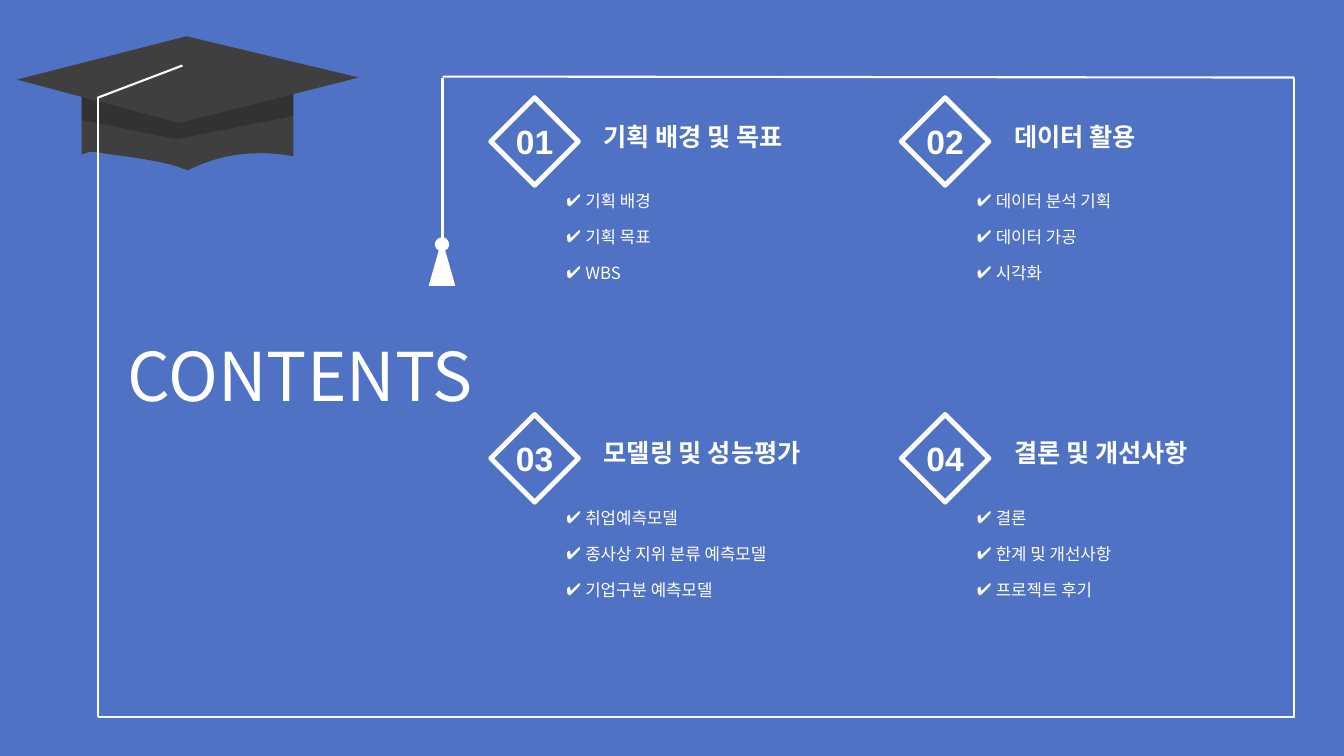
from lxml import etree
from pptx import Presentation
from pptx.dml import color
from pptx.enum import shapes, text
from pptx.oxml import ns
from pptx.util import Pt

COLORS = {"background": "5072C4", "white": "FFFFFF", "cap": "3F3F3F", "band": "000000"}
SANS, NUMERAL = "Noto Sans CJK KR", "Arial"

SECTIONS = [
    ("기획 배경 및 목표", ["기획 배경", "기획 목표", "WBS"]),
    ("데이터 활용", ["데이터 분석 기획", "데이터 가공", "시각화"]),
    ("모델링 및 성능평가", ["취업예측모델", "종사상 지위 분류 예측모델", "기업구분 예측모델"]),
    ("결론 및 개선사항", ["결론", "한계 및 개선사항", "프로젝트 후기"]),
]
LEFT, TOP, COLUMN_STEP, ROW_STEP, DIAMOND = 350.6, 69.8, 293.2, 226.3, 62.6

CAP_BASE = [
    (209.5, 51.1), (58.3, 51.1), (58.3, 110.2),
    (63.4, 109.4, 61.2, 107.3, 73.4, 109.4),
    (86.4, 111.6, 118.8, 114.5, 133.9, 121.7),
    (149, 114.5, 164.2, 109.4, 185.8, 109.4),
    (193.7, 109.4, 202.3, 110.2, 209.5, 111.6),
]
CAP_BAND = [(209.5, 64.8), (58.3, 64.8), (58.3, 85.7), (126, 99.4), (209.5, 82.8)]
CAP_BOARD = [(133.2, 25.9), (256.3, 55.4), (128.2, 87.8), (12.2, 56.9)]
TASSEL = [
    (306.7, 203.8), (313.9, 178.6), (312.5, 177.8),
    (311.8, 177.1, 311, 175.7, 311, 175),
    (311, 172.1, 313.2, 169.9, 316.1, 169.9),
    (318.2, 169.9, 320.4, 172.1, 320.4, 175),
    (320.4, 175.7, 319.7, 177.1, 319, 177.8),
    (317.5, 178.6), (324.7, 203.8),
]
FRAME = [
    (130.3, 46.8, 69.8, 69.8),
    (69.8, 69.1, 69.8, 511.9),
    (924.5, 55.4, 316.1, 54.7),
    (924.5, 511.9, 69.8, 511.9),
    (924.5, 55.4, 924.5, 512.6),
    (316.1, 55.4, 316.1, 170.6),
]


def rgb(name):
    return color.RGBColor.from_string(COLORS[name])


def write_text(p, content, size=12, font=SANS, fill="white", bold=False, align=text.PP_ALIGN.LEFT):
    p.alignment = align
    p.line_spacing = 1.0
    r = p.add_run()
    r.text = content
    r.font.size, r.font.name, r.font.bold = Pt(size), font, bold
    r.font.color.rgb = rgb(fill)
    ea = etree.SubElement(r.font._element, ns.qn("a:ea"))
    ea.set("typeface", font)


def flatten(outline, steps=10):
    points = [outline[0]]
    for segment in outline[1:]:
        if len(segment) == 2:
            points.append(segment)
            continue
        x0, y0 = points[-1]
        x1, y1, x2, y2, x3, y3 = segment
        for i in range(1, steps + 1):
            t = i / steps
            a, b, c, d = (1 - t) ** 3, 3 * t * (1 - t) ** 2, 3 * t * t * (1 - t), t ** 3
            points.append((a * x0 + b * x1 + c * x2 + d * x3, a * y0 + b * y1 + c * y2 + d * y3))
    return [(Pt(x), Pt(y)) for x, y in points]


class ContentsSlide:
    def __init__(self, prs):
        self.slide = prs.slides.add_slide(prs.slide_layouts.get_by_name("Comparison"))
        self.shapes = self.slide.shapes
        fill = self.slide.background.fill
        fill.solid()
        fill.fore_color.rgb = rgb("background")

    def frame(self, sp, box, insets, anchor=text.MSO_ANCHOR.TOP):
        sp.left, sp.top, sp.width, sp.height = (Pt(v) for v in box)
        tf = sp.text_frame
        tf.word_wrap = True
        tf.auto_size = text.MSO_AUTO_SIZE.NONE
        tf.vertical_anchor = anchor
        tf.margin_left, tf.margin_right = (Pt(v) for v in insets)
        tf.margin_top = tf.margin_bottom = Pt(3.6)
        return tf

    def title(self, content, box):
        tf = self.frame(self.shapes.title, box, (7.2, 7.2), text.MSO_ANCHOR.MIDDLE)
        write_text(tf.paragraphs[0], content, size=48, align=text.PP_ALIGN.RIGHT)

    def label(self, content, box, inset=0, **style):
        sp = self.shapes.add_textbox(*(Pt(v) for v in box))
        tf = self.frame(sp, box, (inset, inset))
        write_text(tf.paragraphs[0], content, bold=True, **style)

    def checklist(self, idx, items, box):
        tf = self.frame(self.slide.placeholders[idx], box, (0, 7.2))
        for i, item in enumerate(items):
            p = tf.paragraphs[0] if i == 0 else tf.add_paragraph()
            p.space_before = Pt(11.4 if i else 0)
            p.space_after = Pt(0)
            pPr = p._p.get_or_add_pPr()
            pPr.set("marL", str(Pt(13.5)))
            pPr.set("indent", str(Pt(-13.5)))
            clr = etree.SubElement(pPr, ns.qn("a:buClr"))
            etree.SubElement(clr, ns.qn("a:srgbClr")).set("val", COLORS["white"])
            etree.SubElement(pPr, ns.qn("a:buChar")).set("char", "✔")
            write_text(p, item)

    def diamond(self, x, y):
        box = (Pt(v) for v in (x, y, DIAMOND, DIAMOND))
        sp = self.shapes.add_shape(shapes.MSO_SHAPE.DIAMOND, *box)
        sp.shadow.inherit = False
        sp.fill.background()
        sp.line.color.rgb = rgb("white")
        sp.line.width = Pt(3.5)

    def outline(self, outline, fill, line=None, opacity=None):
        points = flatten(outline)
        builder = self.shapes.build_freeform(*points[0], scale=1.0)
        builder.add_line_segments(points[1:], close=True)
        sp = builder.convert_to_shape()
        sp.shadow.inherit = False
        sp.fill.solid()
        sp.fill.fore_color.rgb = rgb(fill)
        if opacity:
            clr = sp._element.spPr.find(ns.qn("a:solidFill"))[0]
            etree.SubElement(clr, ns.qn("a:alpha")).set("val", str(opacity * 1000))
        if line:
            sp.line.color.rgb = rgb(line)
            sp.line.width = Pt(0.75)
        else:
            sp.line.fill.background()

    def line(self, ends):
        sp = self.shapes.add_connector(shapes.MSO_CONNECTOR.STRAIGHT, *(Pt(v) for v in ends))
        sp.line.color.rgb = rgb("white")
        sp.line.width = Pt(1.5)
        etree.SubElement(sp._element.spPr, ns.qn("a:effectLst"))

    def section(self, index, heading, items):
        row, column = divmod(index, 2)
        x, y = LEFT + column * COLUMN_STEP, TOP + row * ROW_STEP
        self.diamond(x, y)
        self.label(heading, (x + 72, y + 13, 200, 29), inset=8.64, size=18)
        self.checklist(index + 1, items, (x + 54, y + 62.6, 208, 82))
        self.label(f"{index + 1:02}", (x + 9, y + 13, 44.6, 36), size=24, font=NUMERAL,
                   align=text.PP_ALIGN.CENTER)


def main():
    prs = Presentation()
    prs.slide_width, prs.slide_height = Pt(960), Pt(540)
    contents = ContentsSlide(prs)
    contents.title("CONTENTS", (79.2, 234.7, 265.7, 65.5))
    for index, (heading, items) in enumerate(SECTIONS):
        contents.section(index, heading, items)
    contents.outline(CAP_BASE, "cap")
    contents.outline(CAP_BAND, "band", opacity=20)
    contents.outline(CAP_BOARD, "cap")
    for ends in FRAME:
        contents.line(ends)
    contents.outline(TASSEL, "white", line="white")
    prs.save("out.pptx")


if __name__ == "__main__":
    main()
